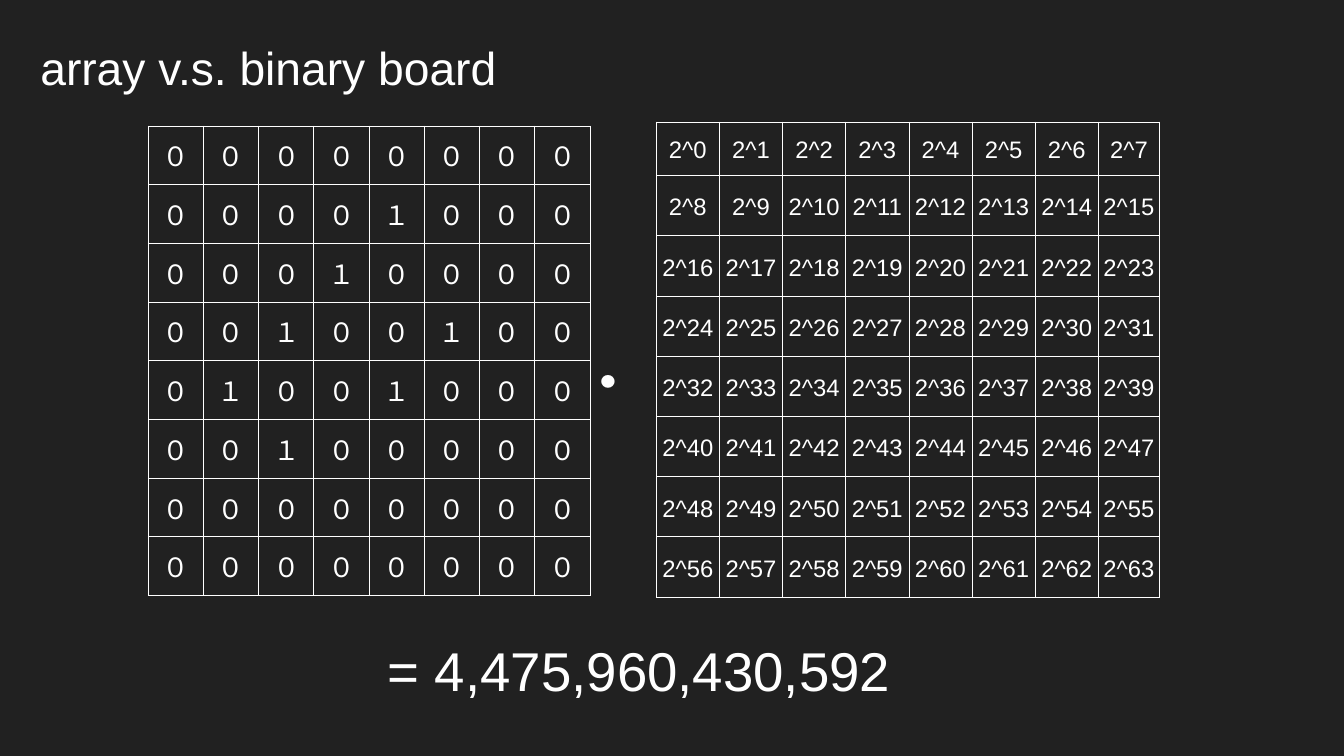
from dataclasses import dataclass
from lxml.etree import SubElement as Sub
from pptx import Presentation
from pptx.dml.color import RGBColor
from pptx.enum.text import MSO_ANCHOR as Anchor, MSO_AUTO_SIZE as Fit, PP_ALIGN as Align
from pptx.oxml.ns import qn
from pptx.util import Emu, Inches, Pt

WIDE, HIGH = Inches(13.33), Inches(7.5)
WHITE, DARK, FACE = "FFFFFF", "212121", "Arial"

BITS = [
    "００００００００",
    "００００１０００",
    "０００１００００",
    "００１００１００",
    "０１００１０００",
    "００１０００００",
    "００００００００",
    "００００００００",
]
SIDE = len(BITS)
POWERS = [[f"2^{SIDE * row + col}" for col in range(SIDE)] for row in range(SIDE)]


# Places and sizes are percentages of the slide's width and height
def across(share: float) -> Emu:
    return Emu(int(WIDE * share / 100))


def down(share: float) -> Emu:
    return Emu(int(HIGH * share / 100))


def color(code: str) -> RGBColor:
    return RGBColor.from_string(code)


def apply(target, values: dict) -> None:
    for name, value in values.items():
        setattr(target, name, value)


def margins(flat: float, tall: float) -> dict:
    return dict(margin_left=Inches(flat), margin_right=Inches(flat),
                margin_top=Inches(tall), margin_bottom=Inches(tall))


@dataclass
class Label:
    text: str
    box: tuple
    size: float
    bold: bool = False
    tall: float = 0.1
    anchor: Anchor = Anchor.TOP
    space: float = 1.0


@dataclass
class Board:
    cells: list
    left: float
    top: float
    cols: list
    rows: list
    size: float
    edge: float
    pad: tuple
    space: float = 1.0


TITLE = Label("array v.s. binary board", (2.25, 1.07, 51.6, 16.4), 33,
              tall=0.05, anchor=Anchor.MIDDLE, space=0.9)
LABELS = [
    Label("．", (43.2, 41.73, 6.3, 11.87), 46, bold=True),
    Label("= 4,475,960,430,592", (28.13, 82.93, 44.78, 14.13), 39),
]
BOARDS = [
    Board(BITS, 11.03, 16.67, [4.11] * SIDE, [7.75] * SIDE, 19, 0.75, (0.1, 0.1)),
    Board(POWERS, 48.83, 16.13, [4.7] * (SIDE - 1) + [4.56],
          [7.07] + [7.97] * (SIDE - 1), 17, 0.6, (0.03, 0.02), 1.15),
]


def write(para, text: str, size: float, bold: bool, align: Align, space: float) -> None:
    run = para.add_run()
    run.text = text
    apply(para, dict(alignment=align, line_spacing=space))
    apply(run.font, dict(name=FACE, size=Pt(size), bold=bold))
    run.font.color.rgb = color(WHITE)


def fill_label(shape, label: Label) -> None:
    left, top, width, height = label.box
    apply(shape, dict(left=across(left), top=down(top),
                      width=across(width), height=down(height)))
    frame = shape.text_frame
    apply(frame, dict(word_wrap=True, auto_size=Fit.NONE,
                      vertical_anchor=label.anchor, **margins(0.1, label.tall)))
    write(frame.paragraphs[0], label.text, label.size, label.bold, Align.LEFT, label.space)


def outline(cell, width: float) -> None:
    props = cell._tc.get_or_add_tcPr()
    for side in ("lnL", "lnR", "lnT", "lnB"):
        line = Sub(props, qn(f"a:{side}"), w=str(Pt(width)))
        Sub(Sub(line, qn("a:solidFill")), qn("a:srgbClr"), val=WHITE)


def draw_board(slide, board: Board) -> None:
    table = slide.shapes.add_table(
        SIDE, SIDE, across(board.left), down(board.top),
        across(sum(board.cols)), down(sum(board.rows))).table
    apply(table, dict(first_row=False, horz_banding=False))
    for col, share in zip(table.columns, board.cols):
        col.width = across(share)
    for row, share, texts in zip(table.rows, board.rows, board.cells):
        row.height = down(share)
        for cell, text in zip(row.cells, texts):
            apply(cell, dict(vertical_anchor=Anchor.MIDDLE, **margins(*board.pad)))
            outline(cell, board.edge)
            cell.fill.background()
            write(cell.text_frame.paragraphs[0], text, board.size, False,
                  Align.CENTER, board.space)


def main() -> None:
    deck = Presentation()
    apply(deck, dict(slide_width=WIDE, slide_height=HIGH))
    slide = deck.slides.add_slide(deck.slide_layouts[5])
    back = slide.background.fill
    back.solid()
    back.fore_color.rgb = color(DARK)

    # Title
    fill_label(slide.shapes.title, TITLE)
    # Bit board and its place values
    for board in BOARDS:
        draw_board(slide, board)
    # Product dot and result
    for label in LABELS:
        fill_label(slide.shapes.add_textbox(0, 0, 0, 0), label)

    deck.save("out.pptx")


if __name__ == "__main__":
    main()
